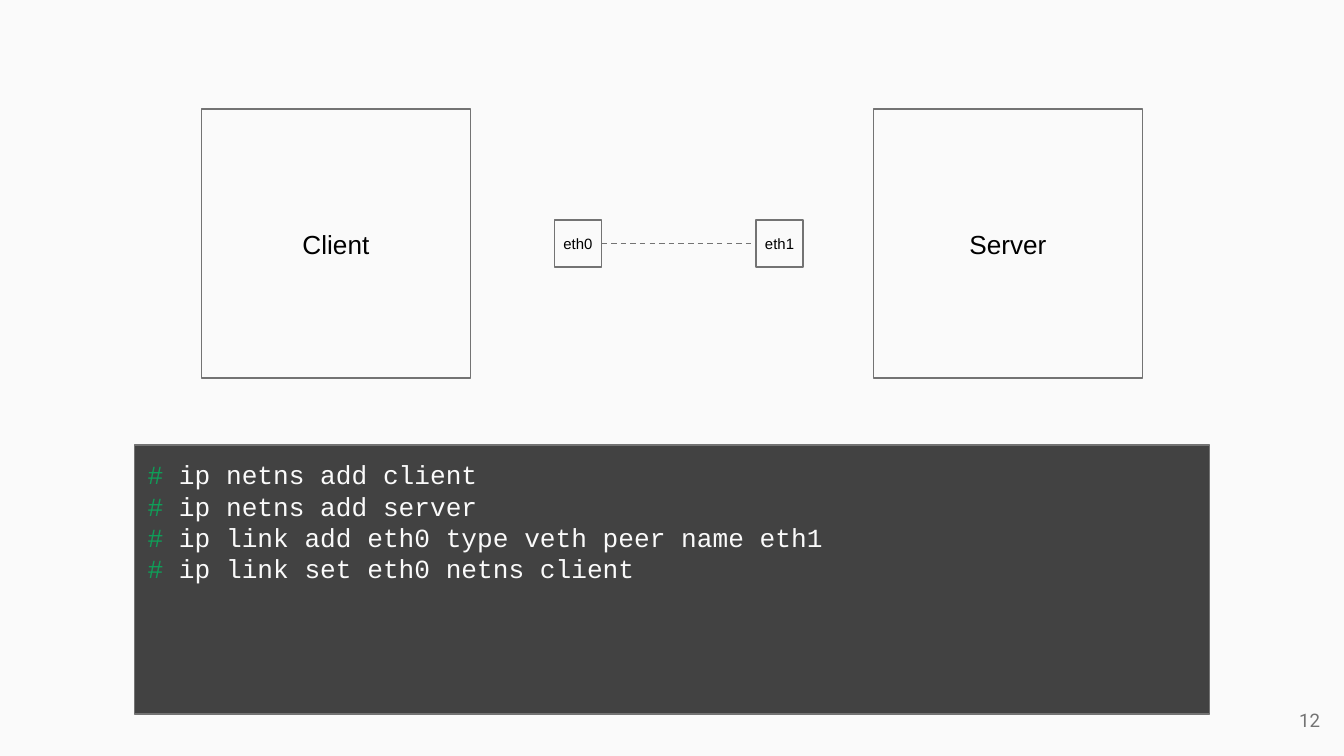
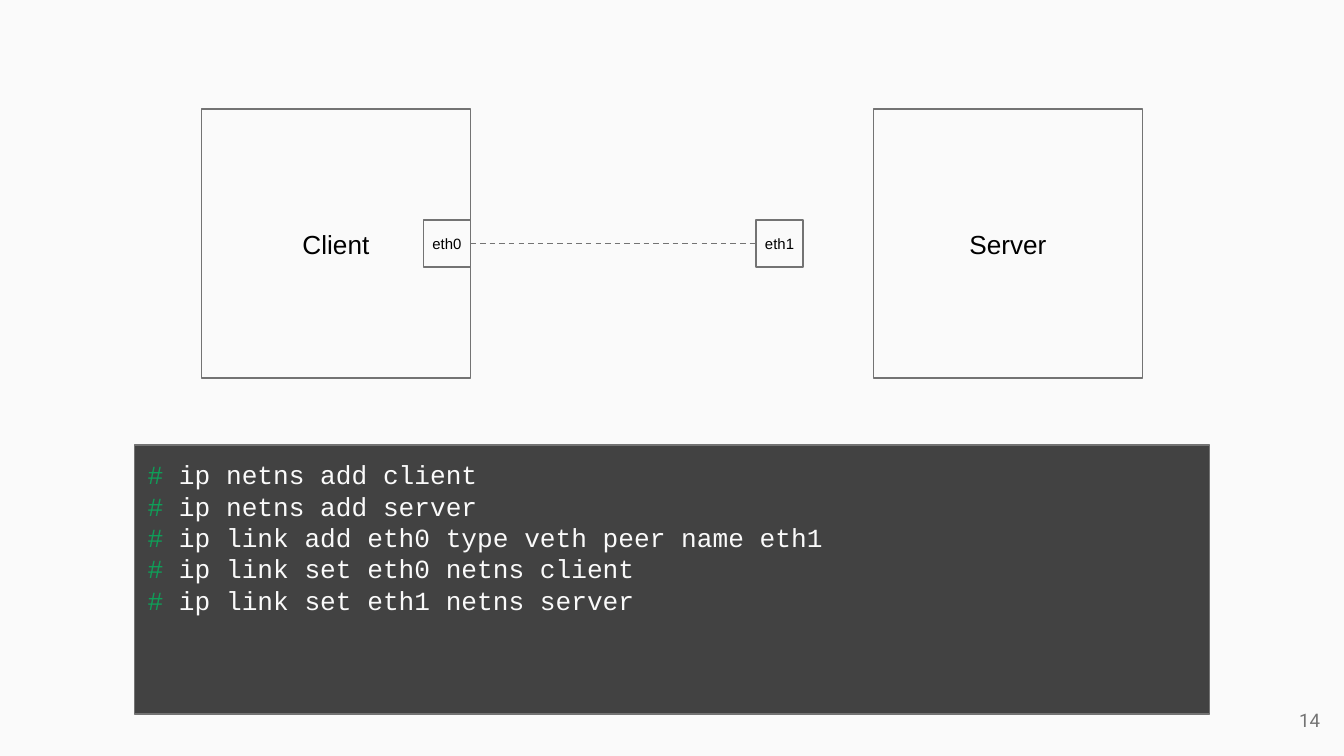
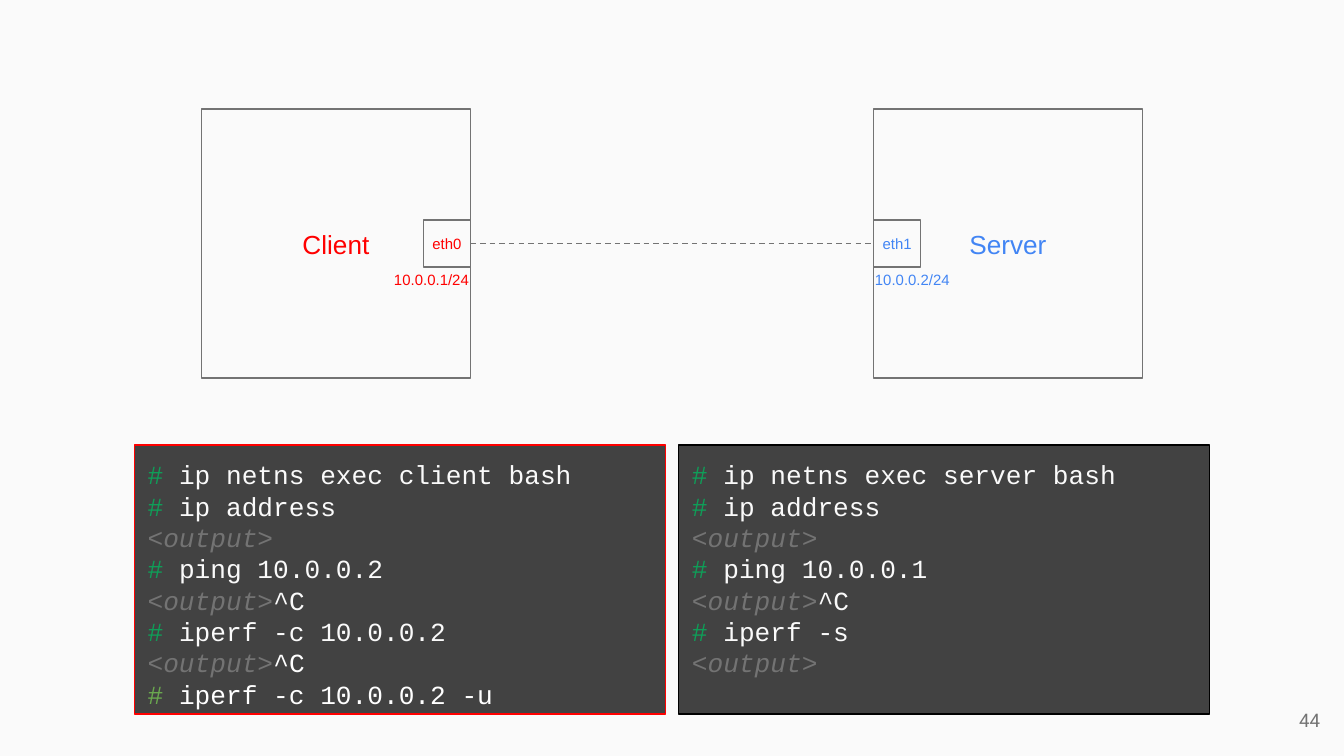
from pptx import Presentation
from pptx.dml.color import RGBColor
from pptx.enum.dml import MSO_LINE
from pptx.enum.shapes import MSO_CONNECTOR as CONNECTOR, MSO_SHAPE as SHAPE
from pptx.enum.text import MSO_ANCHOR as ANCHOR, PP_ALIGN as ALIGN
from pptx.oxml.ns import qn
from pptx.util import Inches, Pt
from lxml.etree import SubElement

PAPER, PANEL, GRAY, BLACK, WHITE = "FAFAFA", "424242", "737373", "000000", "FFFFFF"
RED, BLUE, GREEN, LIGHT_GREEN = "FF0000", "4285F4", "0F9D58", "6AA84F"
SANS, MONO, PAGE_FONT = "Arial", "Courier New", "Roboto"
MARKERS = {"#": (GREEN, False), "<output>": (GRAY, True)}

COLUMNS = 40
ROWS = 22.5
HOST_SIZE = 8
HOST_TOP = 3.25
CLIENT_LEFT, SERVER_LEFT = 6, 26
CHIP_SIZE = 1.4
CHIP_TOP = HOST_TOP + (HOST_SIZE - CHIP_SIZE) / 2
CHIP_IN_CLIENT = CLIENT_LEFT + HOST_SIZE - CHIP_SIZE
CHIP_IN_SERVER = SERVER_LEFT
ADDRESS_TOP = CHIP_TOP + CHIP_SIZE + 0.1
ADDRESS_SIZE = 3.2
TERMINAL_LEFT, TERMINAL_TOP = 4, 13.25
TERMINAL_WIDTH, TERMINAL_HEIGHT = 32, 8
TERMINAL_GAP = 0.4
HALF_WIDTH = (TERMINAL_WIDTH - TERMINAL_GAP) / 2


def color(value):
    return RGBColor.from_string(value)


class Deck:
    def __init__(self):
        self.presentation = Presentation()
        self.presentation.slide_width = Inches(10)
        self.presentation.slide_height = Inches(5.625)
        fill = self.presentation.slide_master.background.fill
        fill.solid()
        fill.fore_color.rgb = color(PAPER)
        self.slide = None

    def place(self, left, top, width, height):
        column = self.presentation.slide_width / COLUMNS
        row = self.presentation.slide_height / ROWS
        return [round(left * column), round(top * row), round(width * column), round(height * row)]

    def new_slide(self, number):
        self.slide = self.presentation.slides.add_slide(self.presentation.slide_layouts[6])
        self.label(str(number), (37.28, 20.56, 2.4, 1.72), 10, GRAY, ALIGN.RIGHT,
                   PAGE_FONT, ANCHOR.MIDDLE, (0.1, 0.1, 0.1, 0.1))

    def frame(self, shape, anchor, insets):
        text_frame = shape.text_frame
        text_frame.word_wrap = True
        text_frame.vertical_anchor = anchor
        (text_frame.margin_left, text_frame.margin_top,
         text_frame.margin_right, text_frame.margin_bottom) = map(Inches, insets)
        return text_frame

    def style(self, run, size, font, ink, italic=False):
        run.font.size = Pt(size)
        run.font.name = font
        run.font.italic = italic
        run.font.color.rgb = color(ink)

    def set_text(self, text_frame, text, size, font, ink, alignment):
        text_frame.text = text
        paragraph = text_frame.paragraphs[0]
        paragraph.alignment = alignment
        self.style(paragraph.runs[0], size, font, ink)

    def label(self, text, area, size, ink, alignment, font=SANS,
              anchor=ANCHOR.TOP, insets=(0, 0, 0, 0)):
        shape = self.slide.shapes.add_textbox(*self.place(*area))
        self.set_text(self.frame(shape, anchor, insets), text, size, font, ink, alignment)

    def rectangle(self, area, fill=None, outline=GRAY):
        shape = self.slide.shapes.add_shape(SHAPE.RECTANGLE, *self.place(*area))
        shape.shadow.inherit = False
        if fill:
            shape.fill.solid()
            shape.fill.fore_color.rgb = color(fill)
        else:
            shape.fill.background()
        shape.line.color.rgb = color(outline)
        shape.line.width = Pt(0.75)
        return shape

    def box(self, text, area, size, ink, inset):
        shape = self.rectangle(area)
        text_frame = self.frame(shape, ANCHOR.MIDDLE, [inset] * 4)
        self.set_text(text_frame, text, size, SANS, ink, ALIGN.CENTER)
        return shape

    def link(self, start, end):
        connector = self.slide.shapes.add_connector(CONNECTOR.STRAIGHT, 0, 0, 0, 0)
        connector.begin_connect(start, 3)
        connector.end_connect(end, 1)
        connector.line.color.rgb = color(GRAY)
        connector.line.width = Pt(0.75)
        connector.line.dash_style = MSO_LINE.DASH
        SubElement(connector.element.spPr, qn("a:effectLst"))

    def network(self, client_chip, server_chip, client_ink=BLACK, server_ink=BLACK):
        for name, left, ink in (("Client", CLIENT_LEFT, client_ink),
                                ("Server", SERVER_LEFT, server_ink)):
            self.box(name, (left, HOST_TOP, HOST_SIZE, HOST_SIZE), 14, ink, 0.1)
        chips = [self.box(name, (left, CHIP_TOP, CHIP_SIZE, CHIP_SIZE), 8, ink, 0)
                 for name, left, ink in (("eth0", client_chip, client_ink),
                                         ("eth1", server_chip, server_ink))]
        self.link(*chips)

    def terminal(self, lines, left=TERMINAL_LEFT, width=TERMINAL_WIDTH, outline=GRAY):
        shape = self.rectangle((left, TERMINAL_TOP, width, TERMINAL_HEIGHT), PANEL, outline)
        text_frame = self.frame(shape, ANCHOR.TOP, [0.1] * 4)
        text_frame.text = "\n".join(lines)
        for paragraph, line in zip(text_frame.paragraphs, lines):
            paragraph.alignment = ALIGN.LEFT
            marker = next(mark for mark in MARKERS if line.startswith(mark))
            run = paragraph.runs[0]
            run.text = marker
            self.style(run, 14, MONO, *MARKERS[marker])
            rest = line[len(marker):]
            if rest:
                run = paragraph.add_run()
                run.text = rest
                self.style(run, 14, MONO, PAPER)
        return text_frame.paragraphs


def main():
    deck = Deck()
    setup = [
        "# ip netns add client",
        "# ip netns add server",
        "# ip link add eth0 type veth peer name eth1",
        "# ip link set eth0 netns client",
    ]

    deck.new_slide(12)
    deck.network(16.5, 22.5)
    deck.terminal(setup)

    deck.new_slide(14)
    deck.network(CHIP_IN_CLIENT, 22.5)
    deck.terminal(setup + ["# ip link set eth1 netns server"])

    deck.new_slide(44)
    deck.network(CHIP_IN_CLIENT, CHIP_IN_SERVER, RED, BLUE)
    client_lines = deck.terminal([
        "# ip netns exec client bash",
        "# ip address",
        "<output>",
        "# ping 10.0.0.2",
        "<output>^C",
        "# iperf -c 10.0.0.2",
        "<output>^C",
        "# iperf -c 10.0.0.2 -u",
    ], width=HALF_WIDTH, outline=RED)
    for paragraph in client_lines[-2:]:
        paragraph.runs[1].font.color.rgb = color(WHITE)
    client_lines[-1].runs[0].font.color.rgb = color(LIGHT_GREEN)
    deck.terminal([
        "# ip netns exec server bash",
        "# ip address",
        "<output>",
        "# ping 10.0.0.1",
        "<output>^C",
        "# iperf -s",
        "<output>",
    ], TERMINAL_LEFT + HALF_WIDTH + TERMINAL_GAP, HALF_WIDTH, BLACK)
    deck.label("10.0.0.1/24", (CHIP_IN_CLIENT + CHIP_SIZE - ADDRESS_SIZE, ADDRESS_TOP,
                               ADDRESS_SIZE, ADDRESS_SIZE),
               8, RED, ALIGN.RIGHT, insets=(0, 0, 0.01, 0))
    deck.label("10.0.0.2/24", (CHIP_IN_SERVER, ADDRESS_TOP, ADDRESS_SIZE, ADDRESS_SIZE),
               8, BLUE, ALIGN.LEFT, insets=(0.01, 0, 0, 0))

    deck.presentation.save("out.pptx")


if __name__ == "__main__":
    main()
